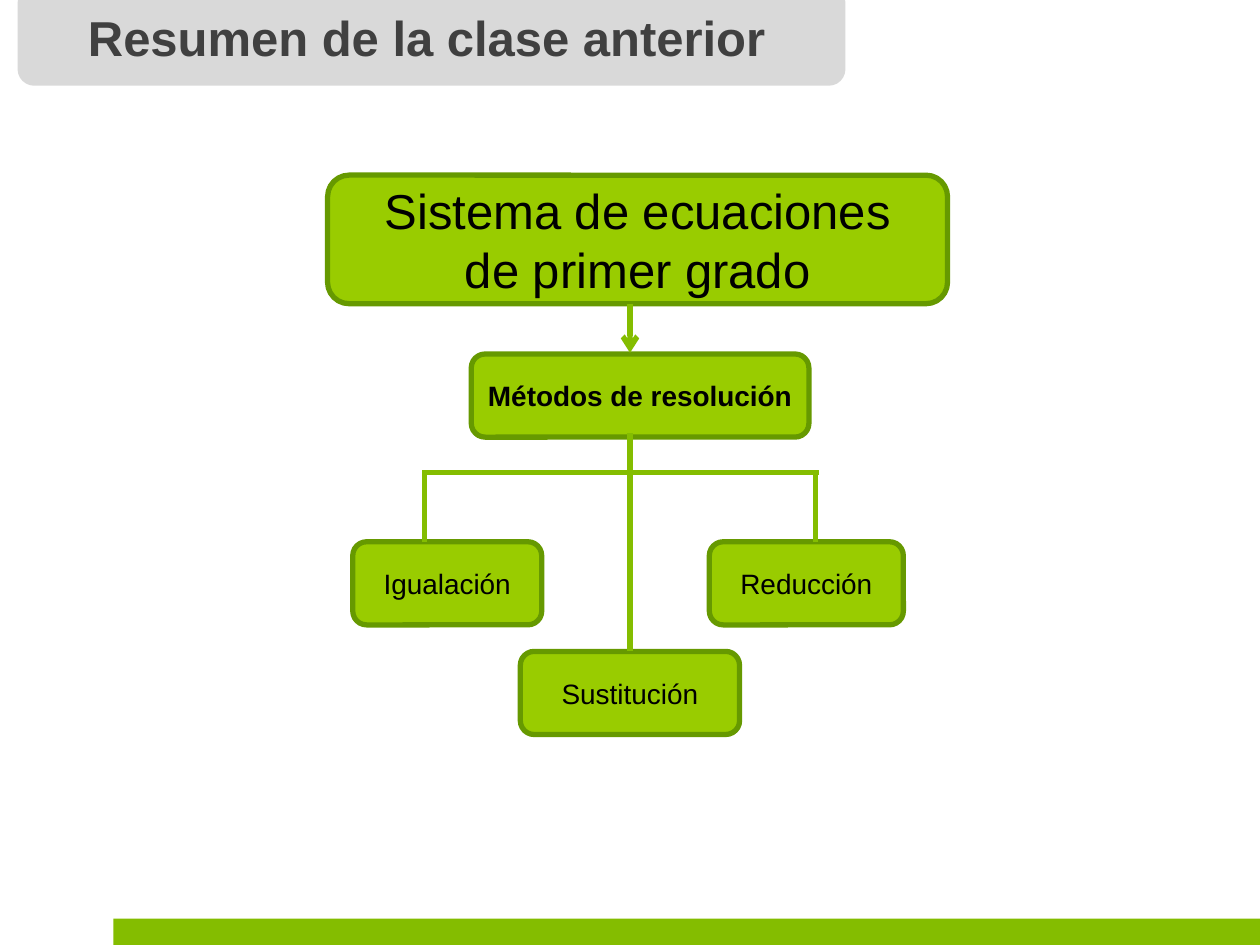
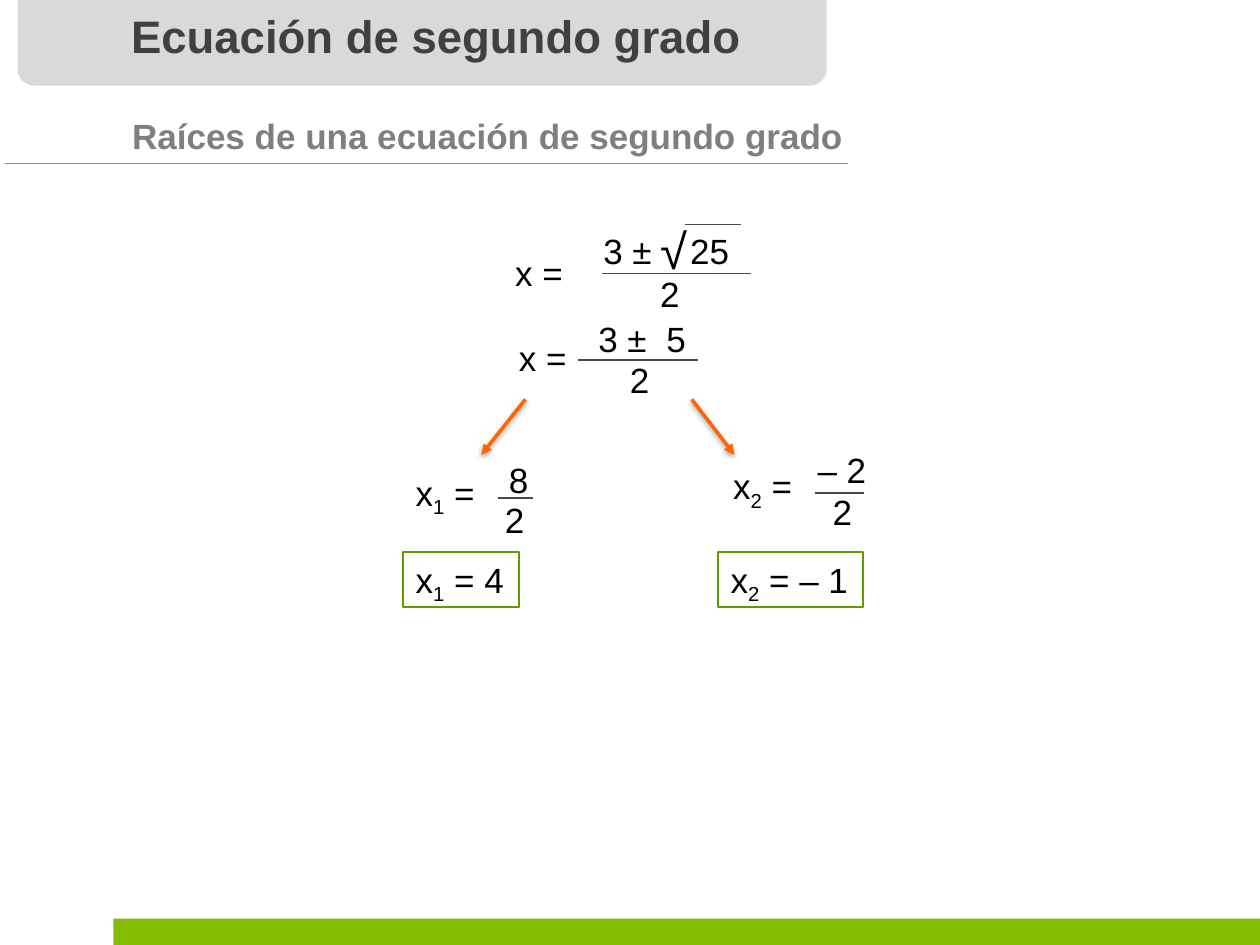
from lxml import etree
from pptx import Presentation
from pptx.dml.color import RGBColor
from pptx.enum.shapes import MSO_CONNECTOR, MSO_SHAPE
from pptx.enum.text import MSO_ANCHOR, MSO_AUTO_SIZE, PP_ALIGN
from pptx.oxml.ns import qn
from pptx.util import Inches, Pt

STRAIGHT = MSO_CONNECTOR.STRAIGHT
RECT, ROUNDED = MSO_SHAPE.RECTANGLE, MSO_SHAPE.ROUNDED_RECTANGLE
PROCESS = MSO_SHAPE.FLOWCHART_ALTERNATE_PROCESS
TOP, MIDDLE = MSO_ANCHOR.TOP, MSO_ANCHOR.MIDDLE
LEFT, CENTER = PP_ALIGN.LEFT, PP_ALIGN.CENTER
NO_FIT = MSO_AUTO_SIZE.NONE

FONT = "Arial"
GREEN, LIME, DARK_GREEN = "84BD00", "99CC00", "669900"
BAND, TITLE, SUBTITLE = "D9D9D9", "404040", "7F7F7F"
BLACK, SLATE, ORANGE = "000000", "3F4F4C", "FF6600"
ROW_H = 0.44
NODE_H = 0.66


def rgb(value):
    return RGBColor.from_string(value)


def write(p, text, size, color=BLACK, bold=False, align=LEFT):
    """Fill a paragraph; text between underscores becomes a subscript."""
    p.alignment = align
    for i, part in enumerate(text.split("_")):
        r = p.add_run()
        r.text = part
        r.font.name, r.font.size, r.font.bold = FONT, Pt(size), bold
        r.font.color.rgb = rgb(color)
        if i % 2:
            r._r.get_or_add_rPr().set("baseline", "-25000")


def add_box(s, kind, x, y, w, h, fill=None, line=None, weight=1):
    sp = s.shapes.add_shape(kind, Inches(x), Inches(y), Inches(w), Inches(h))
    sp.shadow.inherit = False
    if fill:
        sp.fill.solid()
        sp.fill.fore_color.rgb = rgb(fill)
    else:
        sp.fill.background()
    if line:
        sp.line.color.rgb = rgb(line)
        sp.line.width = Pt(weight)
    else:
        sp.line.fill.background()
    return sp


def add_label(s, text, x, y, w, h=ROW_H, size=20, color=BLACK, bold=False):
    sp = s.shapes.add_textbox(Inches(x), Inches(y), Inches(w), Inches(h))
    tf = sp.text_frame
    tf.word_wrap = True
    tf.margin_right = 0
    write(tf.paragraphs[0], text, size, color, bold)


def add_line(s, x1, y1, x2, y2, color=SLATE, weight=1, head=None, shadow=False):
    c = s.shapes.add_connector(STRAIGHT, Inches(x1), Inches(y1), Inches(x2), Inches(y2))
    c.line.color.rgb = rgb(color)
    c.line.width = Pt(weight)
    if head:
        etree.SubElement(c.line._get_or_add_ln(), qn("a:tailEnd"), type=head)
    effects = etree.SubElement(c.element.spPr, qn("a:effectLst"))
    if shadow:
        outer = etree.SubElement(effects, qn("a:outerShdw"), blurRad=str(Pt(3.1)),
                                 dist=str(Pt(1.6)), dir="5400000", rotWithShape="0")
        tint = etree.SubElement(outer, qn("a:srgbClr"), val=BLACK)
        etree.SubElement(tint, qn("a:alpha"), val="38000")
    return c


def add_slide(prs, title, band_w, x, w, size, align):
    """Start a slide with its footer bar, title band and title."""
    s = prs.slides.add_slide(prs.slide_layouts[5])
    add_box(s, RECT, 0.9, 7.29, 9.1, 0.21, GREEN)
    add_box(s, ROUNDED, 0.14, -0.11, band_w, 0.79, BAND)
    sp = s.shapes.title
    sp.left, sp.top, sp.width, sp.height = Inches(x), Inches(0.01), Inches(w), Inches(0.57)
    tf = sp.text_frame
    tf.auto_size, tf.vertical_anchor = NO_FIT, TOP
    write(tf.paragraphs[0], title, size, TITLE, True, align)
    sp.element.getparent().append(sp.element)  # bring in front of the band
    return s


def add_node(s, lines, x, y, w, h=NODE_H, size=16, bold=False):
    sp = add_box(s, PROCESS, x, y, w, h, LIME, DARK_GREEN, 3)
    tf = sp.text_frame
    tf.word_wrap, tf.vertical_anchor = False, MIDDLE
    for i, line in enumerate(lines):
        p = tf.add_paragraph() if i else tf.paragraphs[0]
        write(p, line, size, bold=bold, align=CENTER)
    return sp


def add_fraction(s, lead, numerator, denominator, bar):
    """Place 'x =' and a fraction; parts are (text, x, y, width), bar is (x1, x2, y)."""
    for part in (lead, *numerator, denominator):
        add_label(s, *part)
    x1, x2, y = bar
    add_line(s, x1, y, x2, y)


def add_answer(s, text, x, w):
    sp = add_box(s, RECT, x, 4.38, w, ROW_H, line=DARK_GREEN)
    tf = sp.text_frame
    tf.vertical_anchor = TOP
    tf.margin_right = 0
    write(tf.paragraphs[0], text, 20)


def build_summary(prs):
    s = add_slide(prs, "Resumen de la clase anterior", 6.57, 0.39, 5.99, 28, CENTER)
    add_node(s, ["Sistema de ecuaciones", "de primer grado"], 2.6, 1.39, 4.92, 1.02, 28)
    add_node(s, ["Igualación"], 2.8, 4.3, 1.5)
    substitution = add_node(s, ["Sustitución"], 4.13, 5.17, 1.74)
    add_node(s, ["Reducción"], 5.63, 4.3, 1.54)
    add_node(s, ["Métodos de resolución"], 3.74, 2.81, 2.68, bold=True)

    add_line(s, 5, 2.41, 5, 2.8, GREEN, 3, "arrow")
    trunk = add_line(s, 5, 3.44, 5, 5.17, GREEN, 3)
    trunk.end_connect(substitution, 0)
    add_line(s, 6.5, 3.75, 3.35, 3.75, GREEN, 3)
    for x in (3.37, 6.47):
        add_line(s, x, 3.75, x, 4.3, GREEN, 3)


def build_roots(prs):
    s = add_slide(prs, "Ecuación de segundo grado", 6.42, 0.94, 7.11, 26, LEFT)
    add_label(s, "Raíces de una ecuación de segundo grado", 0.95, 0.86, 8, 0.43,
              color=SUBTITLE, bold=True)
    add_line(s, 0.04, 1.3, 6.73, 1.3, GREEN, 0.75)

    add_fraction(s, ("x =", 3.99, 1.95, 0.74),
                 [("3 ±", 4.69, 1.77, 0.6), ("25", 5.38, 1.77, 0.6)],
                 ("2", 5.14, 2.11, 0.46), (4.78, 5.96, 2.17))
    add_label(s, "√", 5.14, 1.7, 0.42, 0.57, size=28)
    add_line(s, 5.44, 1.78, 5.88, 1.78, weight=0.75)
    add_fraction(s, ("x =", 4.02, 2.62, 0.74),
                 [("3 ±", 4.65, 2.47, 0.6), ("5", 5.19, 2.47, 0.36)],
                 ("2", 4.9, 2.8, 0.46), (4.59, 5.54, 2.86))

    for x1, x2 in ((4.17, 3.82), (5.49, 5.83)):
        add_line(s, x1, 3.17, x2, 3.61, ORANGE, 2, "triangle", shadow=True)

    add_fraction(s, ("x_1_ =", 3.2, 3.69, 0.69), [("8", 3.94, 3.59, 0.46)],
                 ("2", 3.91, 3.91, 0.36), (3.95, 4.23, 3.95))
    add_fraction(s, ("x_2_ =", 5.72, 3.64, 0.69), [("– 2", 6.39, 3.51, 0.73)],
                 ("2", 6.51, 3.84, 0.36), (6.47, 6.86, 3.91))
    add_answer(s, "x_1_ = 4", 3.2, 0.92)
    add_answer(s, "x_2_ = – 1", 5.7, 1.15)


def main():
    prs = Presentation()
    prs.slide_width, prs.slide_height = Inches(10), Inches(7.5)
    build_summary(prs)
    build_roots(prs)
    prs.save("out.pptx")


if __name__ == "__main__":
    main()
